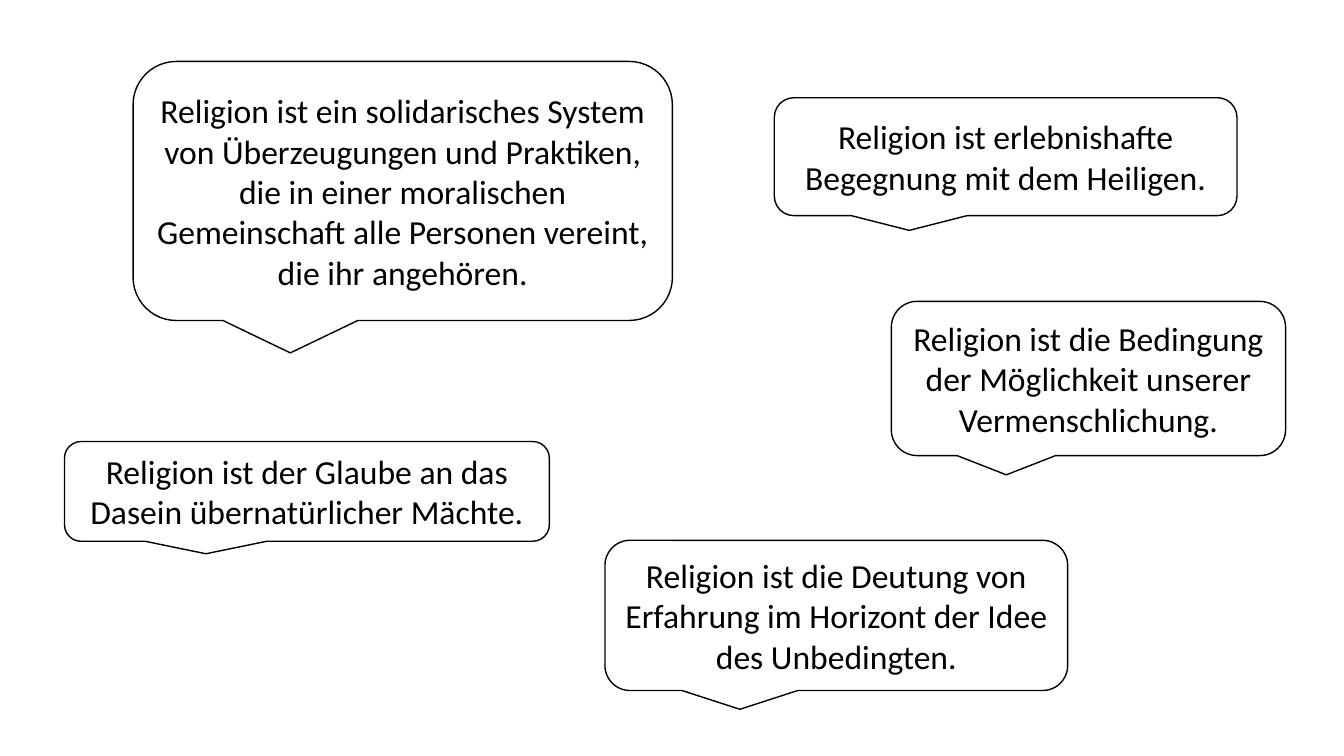
from dataclasses import dataclass

from pptx import Presentation
from pptx.dml.color import RGBColor
from pptx.enum.shapes import MSO_SHAPE
from pptx.enum.text import MSO_ANCHOR, PP_ALIGN
from pptx.slide import Slide
from pptx.util import Inches, Pt

BUBBLE = MSO_SHAPE.ROUNDED_RECTANGULAR_CALLOUT
MIDDLE = MSO_ANCHOR.MIDDLE
CENTER = PP_ALIGN.CENTER

WIDTH, HEIGHT = Inches(13.33), Inches(7.5)
COLORS = {"paper": "FFFFFF", "ink": "000000"}
FONT = {"name": "Calibri", "size": Pt(24)}


@dataclass
class Quote:
    """A speech bubble, placed in percent of the slide's size."""
    left: float
    top: float
    width: float
    height: float
    text: str


QUOTES = [
    Quote(9.9, 8.13, 40.13, 34.27,
          "Religion ist ein solidarisches System von Überzeugungen und Praktiken, "
          "die in einer moralischen Gemeinschaft alle Personen vereint, "
          "die ihr angehören."),
    Quote(57.61, 12.93, 34.43, 15.6,
          "Religion ist erlebnishafte Begegnung mit dem Heiligen."),
    Quote(66.32, 39.87, 29.33, 20.4,
          "Religion ist die Bedingung der Möglichkeit unserer Vermenschlichung."),
    Quote(45.01, 71.47, 34.43, 19.87,
          "Religion ist die Deutung von Erfahrung im Horizont der Idee "
          "des Unbedingten."),
    Quote(4.8, 58.4, 36.08, 13.2,
          "Religion ist der Glaube an das Dasein übernatürlicher Mächte."),
]


def color(name: str) -> RGBColor:
    return RGBColor.from_string(COLORS[name])


def draw_quote(slide: Slide, quote: Quote) -> None:
    # Bubble
    shape = slide.shapes.add_shape(
        BUBBLE,
        round(WIDTH * quote.left / 100), round(HEIGHT * quote.top / 100),
        round(WIDTH * quote.width / 100), round(HEIGHT * quote.height / 100))
    shape.shadow.inherit = False
    shape.fill.solid()
    shape.fill.fore_color.rgb = color("paper")
    shape.line.color.rgb = color("ink")
    shape.line.width = Pt(1)

    # Text
    frame = shape.text_frame
    frame.word_wrap = True
    frame.vertical_anchor = MIDDLE
    frame.text = quote.text
    para = frame.paragraphs[0]
    para.alignment = CENTER
    font = para.runs[0].font
    for key, value in FONT.items():
        setattr(font, key, value)
    font.color.rgb = color("ink")


def main() -> None:
    deck = Presentation()
    deck.slide_width, deck.slide_height = WIDTH, HEIGHT
    slide = deck.slides.add_slide(deck.slide_layouts.get_by_name("Blank"))
    for quote in QUOTES:
        draw_quote(slide, quote)
    deck.save("out.pptx")


if __name__ == "__main__":
    main()
